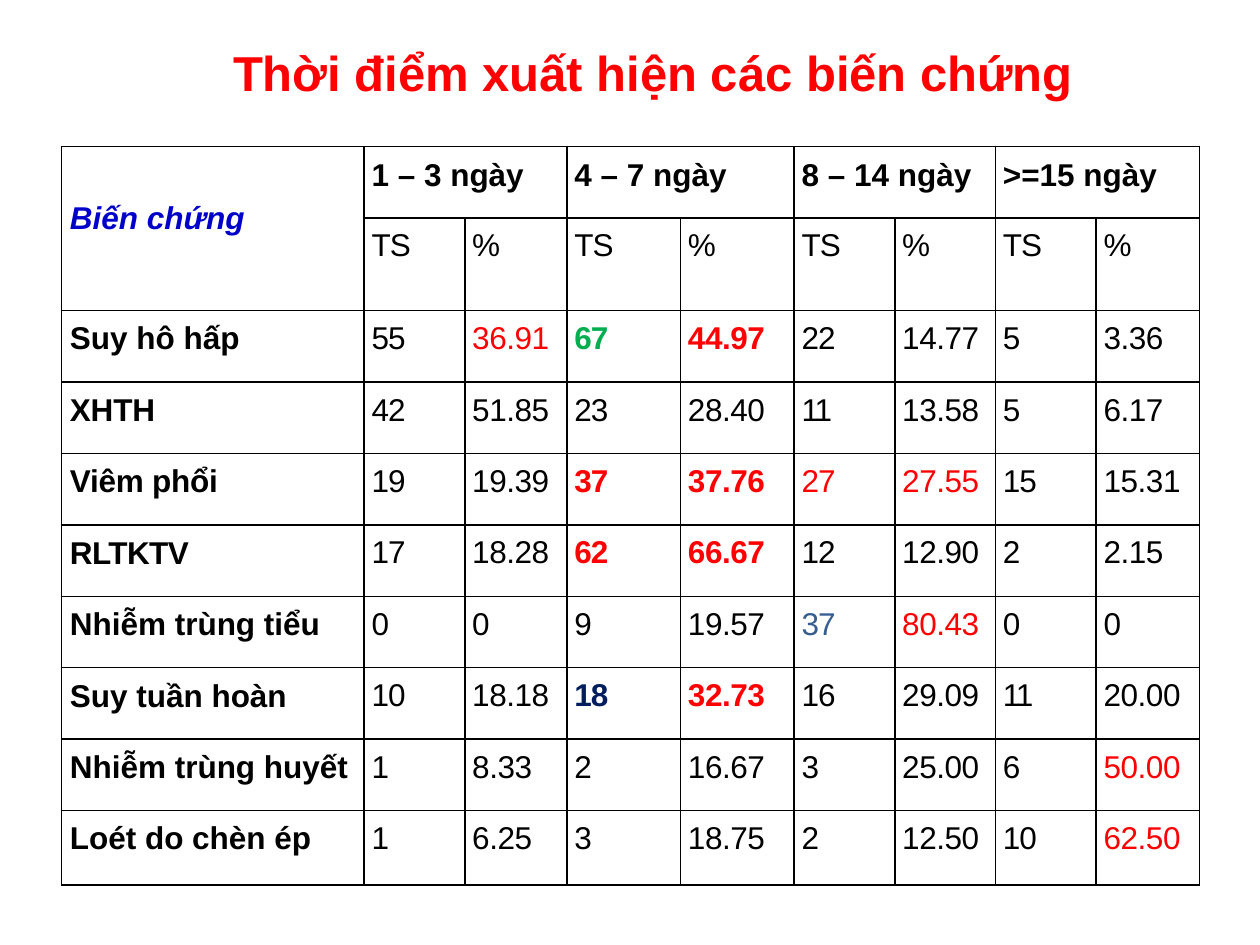
from pptx import Presentation
from pptx.dml.color import RGBColor
from pptx.enum.text import MSO_ANCHOR, MSO_AUTO_SIZE, PP_ALIGN
from pptx.oxml import parse_xml
from pptx.oxml.ns import nsdecls
from pptx.util import Cm, Pt

RED = "FE0000"
BLACK = "000000"
COLUMN_WIDTHS = [6.1, 2.03, 2.06, 2.29, 2.29, 2.03, 2.03, 2.03, 2.08]
ROW_HEIGHTS = [1.44, 1.87] + [1.44] * 7 + [1.5]
PERIODS = ["1 – 3 ngày", "4 – 7 ngày", "8 – 14 ngày", ">=15 ngày"]
COMPLICATIONS = [
    ["Suy hô hấp", "55", "36.91", "67", "44.97", "22", "14.77", "5", "3.36"],
    ["XHTH", "42", "51.85", "23", "28.40", "11", "13.58", "5", "6.17"],
    ["Viêm phổi", "19", "19.39", "37", "37.76", "27", "27.55", "15", "15.31"],
    ["RLTKTV", "17", "18.28", "62", "66.67", "12", "12.90", "2", "2.15"],
    ["Nhiễm trùng tiểu", "0", "0", "9", "19.57", "37", "80.43", "0", "0"],
    ["Suy tuần hoàn", "10", "18.18", "18", "32.73", "16", "29.09", "11", "20.00"],
    ["Nhiễm trùng huyết", "1", "8.33", "2", "16.67", "3", "25.00", "6", "50.00"],
    ["Loét do chèn ép", "1", "6.25", "3", "18.75", "2", "12.50", "10", "62.50"],
]
HIGHLIGHTS = {
    (2, 2): (RED, False), (2, 3): ("00AE4F", True), (2, 4): (RED, True),
    (4, 3): (RED, True), (4, 4): (RED, True), (4, 5): (RED, False), (4, 6): (RED, False),
    (5, 3): (RED, True), (5, 4): (RED, True),
    (6, 5): ("365E91", False), (6, 6): (RED, False),
    (7, 3): ("001E5E", True), (7, 4): (RED, True),
    (8, 8): (RED, False), (9, 8): (RED, False),
}
LABEL_SPACING = {"XHTH": -0.1, "Viêm phổi": -0.15, "RLTKTV": -0.35, "11": -1.2, "TS": -0.5}


def color(value):
    return RGBColor.from_string(value)


def spacing_of(text):
    if text in LABEL_SPACING:
        return LABEL_SPACING[text]
    if "." in text:
        return -0.25
    return {1: -1.1, 2: -0.6}.get(len(text), 0)


class SlideBuilder:
    font_name = "Arial"
    border_width = Pt(1)

    def __init__(self, deck):
        self.slide = deck.slides.add_slide(deck.slide_layouts[5])

    def apply(self, target, values):
        for name, value in values.items():
            setattr(target, name, value)

    def span(self, para, text, size, tint, bold=False, italic=False, spacing=0):
        span = para.add_run()
        span.text = text
        self.apply(span.font, {"name": self.font_name, "size": Pt(size), "bold": bold, "italic": italic})
        span.font.color.rgb = color(tint)
        if spacing:
            span.font._element.set("spc", str(round(spacing * 100)))

    def title(self, text, left, top, width, height):
        box = self.slide.shapes.title
        self.apply(box, {"left": Cm(left), "top": Cm(top), "width": Cm(width), "height": Cm(height)})
        self.apply(box.text_frame, {
            "margin_left": 0, "margin_right": 0, "margin_top": Cm(0.12), "margin_bottom": 0,
            "vertical_anchor": MSO_ANCHOR.TOP, "word_wrap": True, "auto_size": MSO_AUTO_SIZE.NONE,
        })
        para = box.text_frame.paragraphs[0]
        para.alignment = PP_ALIGN.LEFT
        self.span(para, text, 28, RED, bold=True)

    def table(self, left, top, widths, heights):
        frame = self.slide.shapes.add_table(
            len(heights), len(widths), Cm(left), Cm(top), Cm(sum(widths)), Cm(sum(heights)))
        table = frame.table
        self.apply(table, {"first_row": False, "horz_banding": False})
        for column, width in zip(table.columns, widths):
            column.width = Cm(width)
        for row, height in zip(table.rows, heights):
            row.height = Cm(height)
        for cell in table.iter_cells():
            self.border(cell)
            cell.fill.background()
        return table

    def border(self, cell):
        properties = cell._tc.get_or_add_tcPr()
        for side in ("lnL", "lnR", "lnT", "lnB"):
            properties.append(parse_xml(
                f'<a:{side} {nsdecls("a")} w="{self.border_width}"><a:solidFill>'
                f'<a:srgbClr val="{BLACK}"/></a:solidFill></a:{side}>'))

    def cell(self, cell, text, top, tint=BLACK, bold=False, italic=False, left=0.15):
        self.apply(cell, {
            "margin_left": Cm(left), "margin_right": 0, "margin_top": Pt(top), "margin_bottom": 0,
            "vertical_anchor": MSO_ANCHOR.TOP,
        })
        self.span(cell.text_frame.paragraphs[0], text, 18, tint, bold, italic, spacing_of(text))


def main():
    deck = Presentation()
    deck.slide_width, deck.slide_height = Cm(25.4), Cm(19.05)
    page = SlideBuilder(deck)
    page.title("Thời điểm xuất hiện các biến chứng", 4.7, 0.74, 17.32, 1.19)

    table = page.table(1.24, 2.95, COLUMN_WIDTHS, ROW_HEIGHTS)
    table.cell(0, 0).merge(table.cell(1, 0))
    page.cell(table.cell(0, 0), "Biến chứng", 31.4, "0000CB", bold=True, italic=True, left=0.17)
    for index, period in enumerate(PERIODS):
        column = 1 + 2 * index
        table.cell(0, column).merge(table.cell(0, column + 1))
        page.cell(table.cell(0, column), period, 6.6, bold=True)
        page.cell(table.cell(1, column), "TS", 5.9)
        page.cell(table.cell(1, column + 1), "%", 5.9)

    for row, (label, *values) in enumerate(COMPLICATIONS, start=2):
        page.cell(table.cell(row, 0), label, 6.2, bold=True, left=0.17)
        for column, value in enumerate(values, start=1):
            tint, bold = HIGHLIGHTS.get((row, column), (BLACK, False))
            page.cell(table.cell(row, column), value, 6, tint, bold)

    deck.save("out.pptx")


if __name__ == "__main__":
    main()
